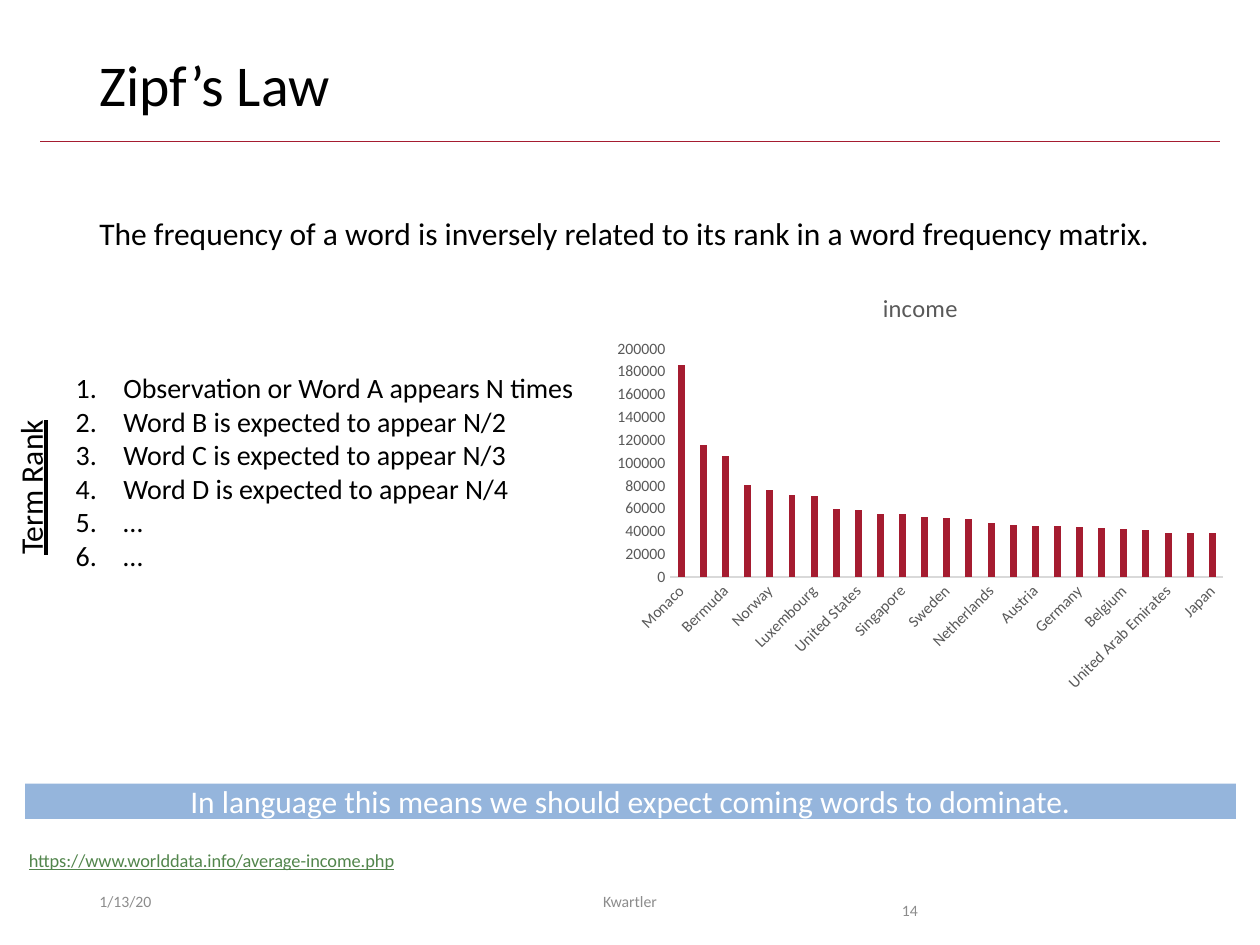
from lxml import etree
from pptx import Presentation
from pptx.chart.data import CategoryChartData
from pptx.dml.color import RGBColor
from pptx.enum import chart as ch, shapes, text
from pptx.oxml.ns import qn
from pptx.util import Inches, Pt

FONT = "Calibri"
BLACK, WHITE, GREY, DARK = "000000", "FFFFFF", "8C8C8C", "595959"
CRIMSON, BLUE, GREEN, RULE = "A51C30", "95B5DC", "52854C", "D9D9D9"

INCOME = {
    "Monaco": 186000, "Liechtenstein": 116000, "Bermuda": 106000,
    "Switzerland": 81000, "Norway": 76000, "Macao": 72000,
    "Luxembourg": 71000, "Iceland": 60000, "United States": 59000,
    "Denmark": 55000, "Singapore": 55000, "Ireland": 53000,
    "Sweden": 52000, "Australia": 51000, "Netherlands": 47000,
    "Hong Kong": 46000, "Austria": 45000, "Finland": 45000,
    "Germany": 44000, "Canada": 43000, "Belgium": 42000,
    "United Kingdom": 41000, "United Arab Emirates": 39000,
    "New Zealand": 39000, "Japan": 39000,
}
RANKS = [
    "Observation or Word A appears N times",
    "Word B is expected to appear N/2",
    "Word C is expected to appear N/3",
    "Word D is expected to appear N/4",
    "…",
    "…",
]


def rgb(value):
    return RGBColor.from_string(value)


def inches(box):
    return [Inches(v) for v in box]


def place(sp, box):
    sp.left, sp.top, sp.width, sp.height = inches(box)


def set_font(font, size, color):
    font.name, font.size, font.bold = FONT, Pt(size), False
    font.color.rgb = rgb(color)


def write(sp, lines, size=18, color=BLACK, align=text.PP_ALIGN.LEFT,
          anchor=text.MSO_ANCHOR.TOP, wrap=True, grow=False,
          underline=False, spacing=1.0, numbered=False):
    tf = sp.text_frame
    tf.word_wrap = wrap
    tf.vertical_anchor = anchor
    tf.auto_size = (text.MSO_AUTO_SIZE.SHAPE_TO_FIT_TEXT if grow
                    else text.MSO_AUTO_SIZE.NONE)
    for i, line in enumerate([lines] if isinstance(lines, str) else lines):
        p = tf.paragraphs[0] if i == 0 else tf.add_paragraph()
        p.alignment, p.line_spacing = align, spacing
        p.space_before = Pt(0)
        if numbered:
            pPr = p._p.get_or_add_pPr()
            pPr.set("marL", str(Inches(0.38)))
            pPr.set("indent", str(-Inches(0.38)))
            etree.SubElement(pPr, qn("a:buFont"), typeface="+mj-lt")
            etree.SubElement(pPr, qn("a:buAutoNum"), type="arabicPeriod")
        r = p.add_run()
        r.text = line
        set_font(r.font, size, color)
        if underline:
            r.font.underline = True


def add_text(slide, box, lines, **fmt):
    sp = slide.shapes.add_textbox(*inches(box))
    write(sp, lines, **fmt)
    return sp


def add_header(slide, box):
    x, y, w, h = box
    # Title
    place(slide.shapes.title, (x, y, w, h))
    write(slide.shapes.title, "Zipf’s Law", size=33, spacing=0.9)
    # Rule under the title
    rule_y = Inches(y + h + 0.07)
    line = slide.shapes.add_connector(
        shapes.MSO_CONNECTOR.STRAIGHT, Inches(0.32), rule_y, Inches(9.68), rule_y)
    line.line.color.rgb = rgb(CRIMSON)
    line.line.width = Pt(0.5)
    etree.SubElement(line._element.spPr, qn("a:effectLst"))


def add_ranking(slide, box):
    x, y, w, h = box
    # Numbered list
    body = slide.placeholders[1]
    place(body, box)
    write(body, RANKS, size=16, grow=True, numbered=True)
    # Vertical label, centred beside the list
    label_w, label_h = 1.28, 0.4
    label = add_text(
        slide, (x - 0.26 - label_w / 2, y + h / 2 + 0.11 - label_h / 2, label_w, label_h),
        "Term Rank", wrap=False, grow=True, underline=True)
    label.rotation = 270


def add_income_chart(slide, box):
    data = CategoryChartData(number_format="General")
    data.categories = list(INCOME)
    data.add_series("income", list(INCOME.values()))
    chart = slide.shapes.add_chart(
        ch.XL_CHART_TYPE.COLUMN_CLUSTERED, *inches(box), data).chart
    set_font(chart.font, 10, BLACK)
    chart.has_legend = False
    # Title
    chart.has_title = True
    tf = chart.chart_title.text_frame
    tf.text = "income"
    set_font(tf.paragraphs[0].runs[0].font, 14, DARK)
    chart.chart_title.include_in_layout = False
    # Columns
    plot = chart.plots[0]
    plot.gap_width, plot.overlap, plot.vary_by_categories = 219, -27, False
    fill = plot.series[0].format.fill
    fill.solid()
    fill.fore_color.rgb = rgb(CRIMSON)
    # Axes
    for axis in (chart.category_axis, chart.value_axis):
        axis.has_major_gridlines = False
        axis.major_tick_mark = axis.minor_tick_mark = ch.XL_TICK_MARK.NONE
        set_font(axis.tick_labels.font, 9, DARK)
    cat, val = chart.category_axis, chart.value_axis
    cat.format.line.color.rgb = rgb(RULE)
    cat.format.line.width = Pt(0.75)
    cat._element.find(qn("c:txPr")).find(qn("a:bodyPr")).set("rot", "-2700000")
    val.format.line.fill.background()
    val.minimum_scale, val.maximum_scale, val.major_unit = 0, 200000, 20000


def add_takeaway(slide, box):
    bar = slide.shapes.add_shape(shapes.MSO_SHAPE.RECTANGLE, *inches(box))
    bar.shadow.inherit = False
    bar.fill.solid()
    bar.fill.fore_color.rgb = rgb(BLUE)
    bar.line.fill.background()
    write(bar, "In language this means we should expect coming words to dominate.",
          color=WHITE, align=text.PP_ALIGN.CENTER, anchor=text.MSO_ANCHOR.MIDDLE)


def add_footer(slide, box):
    x, y, w, h = box
    small = dict(size=9, color=GREY)
    middle = text.MSO_ANCHOR.MIDDLE
    add_text(slide, (x, y, 2.25, h), "1/13/20", anchor=middle, **small)
    add_text(slide, (x + (w - 3.38) / 2, y, 3.38, h), "Kwartler",
             align=text.PP_ALIGN.CENTER, anchor=middle, **small)
    add_text(slide, (7.06, y, 0.94, h), "14", spacing=2.0, **small)


def main():
    prs = Presentation()
    prs.slide_width, prs.slide_height = Inches(10), Inches(7.5)
    slide = prs.slides.add_slide(prs.slide_layouts[1])
    add_header(slide, (0.69, 0.4, 8.62, 0.65))
    # Statement of the law
    add_text(slide, (0.69, 1.65, 8.57, 0.4),
             "The frequency of a word is inversely related to its rank "
             "in a word frequency matrix.", wrap=False, grow=True)
    add_ranking(slide, (0.5, 2.89, 4.37, 1.72))
    add_income_chart(slide, (4.8, 2.15, 5.01, 3.41))
    add_takeaway(slide, (0.2, 6.22, 9.61, 0.28))
    # Data source
    add_text(slide, (0.13, 6.69, 3.18, 0.28),
             "https://www.worlddata.info/average-income.php",
             size=10.5, color=GREEN, wrap=False, grow=True, underline=True)
    add_footer(slide, (0.69, 6.95, 8.62, 0.4))
    prs.save("out.pptx")


if __name__ == "__main__":
    main()
